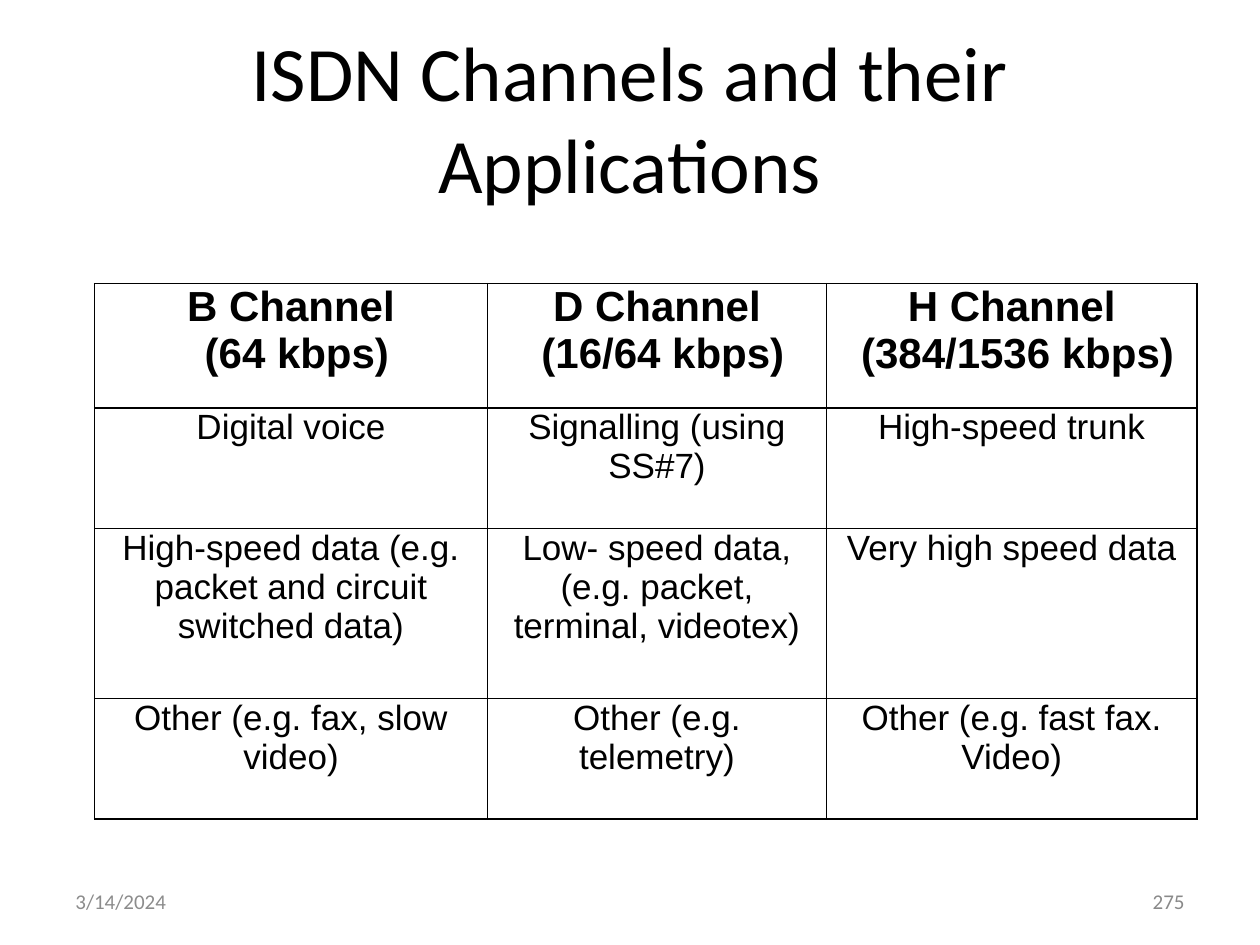
from lxml.etree import SubElement
from pptx import Presentation
from pptx.dml.color import RGBColor
from pptx.enum.text import MSO_ANCHOR, MSO_AUTO_SIZE, PP_ALIGN
from pptx.oxml.ns import qn
from pptx.util import Pt

COLORS = {"ink": "000000", "date": "8C8C8C", "number": "898989"}
COLUMN_WIDTHS = [224.6, 193.7, 211.7]
ROW_HEIGHTS = [71.2, 68.8, 97.2, 68.8]
CHANNELS = [
    ["B Channel\n (64 kbps)", "D Channel\n (16/64 kbps)", "H Channel\n (384/1536 kbps)"],
    ["Digital voice", "Signalling (using SS#7)", "High-speed trunk"],
    ["High-speed data (e.g. packet and circuit switched data)",
     "Low- speed data, (e.g. packet, terminal, videotex)", "Very high speed data"],
    ["Other (e.g. fax, slow video)", "Other (e.g. telemetry)", "Other (e.g. fast fax. Video)"],
]


def format_text(frame, font_name, size, color, align, bold=False):
    for paragraph in frame.paragraphs:
        paragraph.alignment = align
        paragraph.font.name = font_name
        paragraph.font.size = Pt(size)
        paragraph.font.bold = bold
        paragraph.font.color.rgb = RGBColor.from_string(COLORS[color])


def add_title(slide, left, top, width, height):
    title = slide.shapes.title
    title.left, title.top, title.width, title.height = map(Pt, (left, top, width, height))
    frame = title.text_frame
    frame.text = "ISDN Channels and their Applications"
    frame.word_wrap = True
    frame.auto_size = MSO_AUTO_SIZE.NONE
    frame.vertical_anchor = MSO_ANCHOR.MIDDLE
    format_text(frame, "Calibri", 44, "ink", PP_ALIGN.CENTER)


def add_borders(cell):
    properties = cell._tc.get_or_add_tcPr()
    for position, side in enumerate(("lnL", "lnR", "lnT", "lnB")):
        line = properties.makeelement(qn(f"a:{side}"), {"w": str(Pt(1))})
        properties.insert(position, line)
        fill = SubElement(line, qn("a:solidFill"))
        SubElement(fill, qn("a:srgbClr"), val=COLORS["ink"])


def add_channel_table(slide, left, top, width, height):
    table = slide.shapes.add_table(
        len(CHANNELS), len(COLUMN_WIDTHS), Pt(left), Pt(top), Pt(width), Pt(height)).table
    table.first_row = table.horz_banding = False
    for column, column_width in zip(table.columns, COLUMN_WIDTHS):
        column.width = Pt(column_width)
    for row_index, (row, row_height) in enumerate(zip(table.rows, ROW_HEIGHTS)):
        row.height = Pt(row_height)
        is_header = row_index == 0
        for cell, wording in zip(row.cells, CHANNELS[row_index]):
            cell.text = wording
            cell.margin_left = cell.margin_right = Pt(5)
            cell.margin_top = cell.margin_bottom = Pt(0)
            cell.fill.background()
            add_borders(cell)
            format_text(cell.text_frame, "Arial", 24 if is_header else 20,
                        "ink", PP_ALIGN.CENTER, is_header)


def add_footer(slide, left, top, width, height):
    part_width = 168
    parts = [
        (left, "3/14/2024", "date", PP_ALIGN.LEFT),
        (left + width - part_width, "275", "number", PP_ALIGN.RIGHT),
    ]
    for part_left, wording, color, align in parts:
        frame = slide.shapes.add_textbox(
            Pt(part_left), Pt(top), Pt(part_width), Pt(height)).text_frame
        frame.text = wording
        frame.word_wrap = True
        frame.vertical_anchor = MSO_ANCHOR.MIDDLE
        format_text(frame, "Calibri", 12, color, align)


def main():
    presentation = Presentation()
    presentation.slide_width, presentation.slide_height = Pt(720), Pt(540)
    slide = presentation.slides.add_slide(presentation.slide_layouts[5])
    add_title(slide, 36, 21.6, 648, 90)
    add_channel_table(slide, 54, 162, sum(COLUMN_WIDTHS), sum(ROW_HEIGHTS))
    add_footer(slide, 36, 500.5, 648, 28.75)
    presentation.save("out.pptx")


if __name__ == "__main__":
    main()
